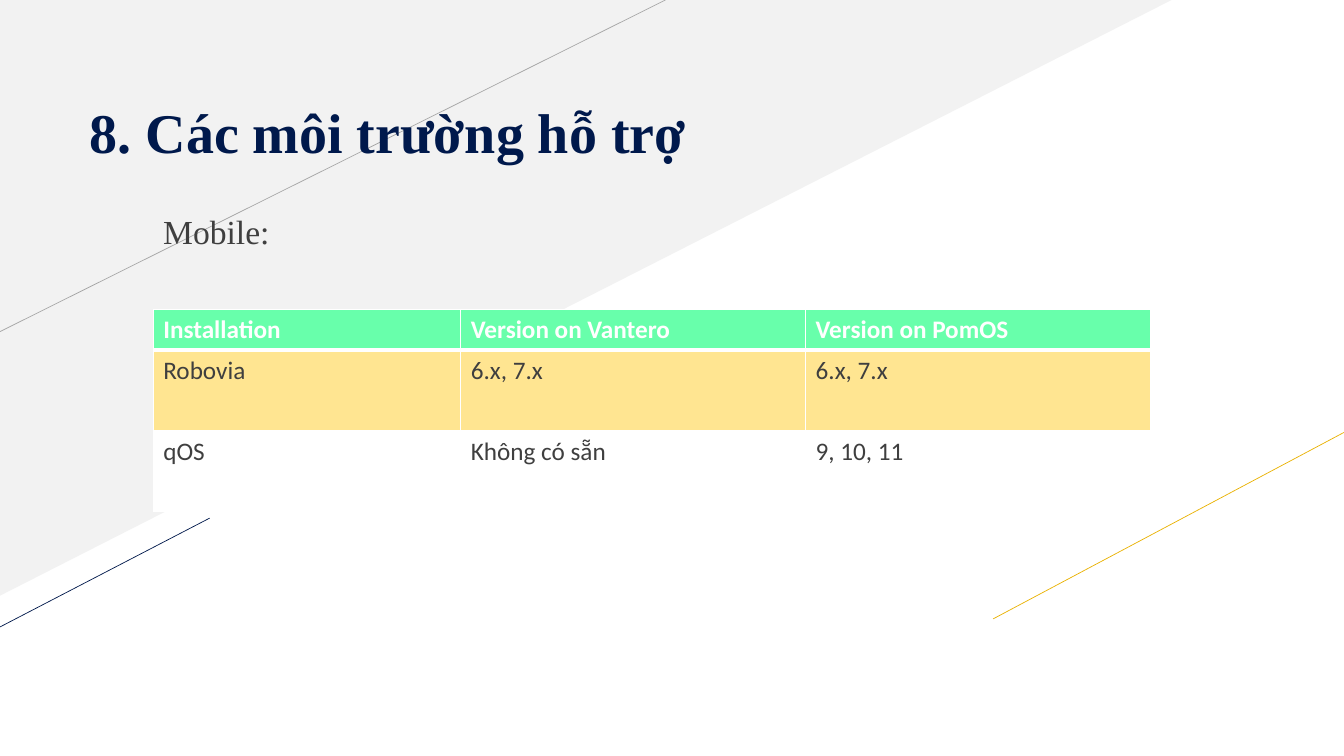
from dataclasses import dataclass

from lxml import etree
from pptx import Presentation
from pptx.dml.color import RGBColor
from pptx.enum import shapes, text
from pptx.oxml import ns
from pptx.util import Inches, Pt

NAVY = RGBColor(0x00, 0x19, 0x4C)
GOLD = RGBColor(0xEA, 0xB2, 0x00)
GREY = RGBColor(0xA6, 0xA6, 0xA6)
PALE_GREY = RGBColor(0xF2, 0xF2, 0xF2)
CHARCOAL = RGBColor(0x3F, 0x3F, 0x3F)
MINT = RGBColor(0x68, 0xFF, 0xAB)
CREAM = RGBColor(0xFF, 0xE5, 0x91)
WHITE = RGBColor(0xFF, 0xFF, 0xFF)
SERIF = "Times New Roman"
SANS = "Calibri"


@dataclass(frozen=True)
class Diagonal:
    start: tuple[float, float]
    end: tuple[float, float]
    color: RGBColor


@dataclass(frozen=True)
class VersionRow:
    cells: tuple[str, str, str]
    height: float
    fill: RGBColor
    color: RGBColor
    bold: bool = False
    bottom_border: float = 1


DIAGONALS = (
    Diagonal((0, 3.29), (6.6, 0), GREY),
    Diagonal((9.85, 6.14), (13.33, 4.29), GOLD),
    Diagonal((-0.02, 6.23), (2.08, 5.14), NAVY),
)
COLUMN_WIDTHS = (3.05, 3.42, 3.42)
VERSION_ROWS = (
    VersionRow(("Installation", "Version on Vantero", "Version on PomOS"),
               0.4, MINT, WHITE, bold=True, bottom_border=3),
    VersionRow(("Robovia", "6.x, 7.x", "6.x, 7.x"), 0.8, CREAM, CHARCOAL),
    VersionRow(("qOS", "Không có sẵn", "9, 10, 11"), 0.8, WHITE, CHARCOAL),
)


def style_text(frame, font_name: str, size: float, color: RGBColor, bold: bool = False) -> None:
    for paragraph in frame.paragraphs:
        for run in paragraph.runs:
            run.font.name = font_name
            run.font.size = Pt(size)
            run.font.bold = bold
            run.font.color.rgb = color


def draw_backdrop(slide) -> None:
    corner = slide.shapes.add_shape(
        shapes.MSO_SHAPE.RIGHT_TRIANGLE, 0, 0, Inches(11.62), Inches(5.91))
    corner.element.spPr.xfrm.set("flipV", "1")
    corner.shadow.inherit = False
    corner.fill.solid()
    corner.fill.fore_color.rgb = PALE_GREY
    corner.line.fill.background()


def draw_diagonal(slide, diagonal: Diagonal) -> None:
    points = [Inches(value) for value in diagonal.start + diagonal.end]
    stroke = slide.shapes.add_connector(shapes.MSO_CONNECTOR.STRAIGHT, *points)
    stroke.line.color.rgb = diagonal.color
    stroke.line.width = Pt(0.5)
    etree.SubElement(stroke.element.spPr, ns.qn("a:effectLst"))


def place_title(slide) -> None:
    title = slide.shapes.title
    title.element.getparent().append(title.element)
    title.left, title.top = Inches(0.79), Inches(0.75)
    title.width, title.height = Inches(9.56), Inches(0.89)
    frame = title.text_frame
    frame.text = "8. Các môi trường hỗ trợ"
    frame.vertical_anchor = text.MSO_ANCHOR.BOTTOM
    frame.margin_bottom = 0
    frame.paragraphs[0].alignment = text.PP_ALIGN.LEFT
    frame.paragraphs[0].line_spacing = 0.9
    style_text(frame, SERIF, 40, NAVY, bold=True)


def add_borders(cell, row: VersionRow) -> None:
    properties = cell._tc.get_or_add_tcPr()
    widths = {"lnL": 1, "lnR": 1, "lnT": 1, "lnB": row.bottom_border}
    for index, (side, width) in enumerate(widths.items()):
        border = etree.Element(ns.qn(f"a:{side}"), w=str(Pt(width)))
        paint = etree.SubElement(border, ns.qn("a:solidFill"))
        etree.SubElement(paint, ns.qn("a:srgbClr"), val=str(WHITE))
        properties.insert(index, border)


def draw_versions(slide) -> None:
    versions = slide.shapes.add_table(
        len(VERSION_ROWS), len(COLUMN_WIDTHS), Inches(1.52), Inches(3.07),
        Inches(sum(COLUMN_WIDTHS)), Inches(sum(row.height for row in VERSION_ROWS))).table
    for column, width in zip(versions.columns, COLUMN_WIDTHS):
        column.width = Inches(width)
    for table_row, row in zip(versions.rows, VERSION_ROWS):
        table_row.height = Inches(row.height)
        for cell, content in zip(table_row.cells, row.cells):
            cell.text_frame.text = content
            style_text(cell.text_frame, SANS, 18, row.color, row.bold)
            cell.fill.solid()
            cell.fill.fore_color.rgb = row.fill
            add_borders(cell, row)


def draw_platform(slide) -> None:
    platform = slide.shapes.add_textbox(Inches(1.52), Inches(2.04), Inches(2.59), Inches(0.5))
    platform.text_frame.word_wrap = True
    platform.text_frame.text = "Mobile:"
    style_text(platform.text_frame, SERIF, 24, CHARCOAL)


def main() -> None:
    deck = Presentation()
    deck.slide_width, deck.slide_height = Inches(13.33), Inches(7.5)
    slide = deck.slides.add_slide(deck.slide_layouts.get_by_name("Title Only"))
    draw_backdrop(slide)
    for diagonal in DIAGONALS:
        draw_diagonal(slide, diagonal)
    place_title(slide)
    draw_versions(slide)
    draw_platform(slide)
    deck.save("out.pptx")


if __name__ == "__main__":
    main()
